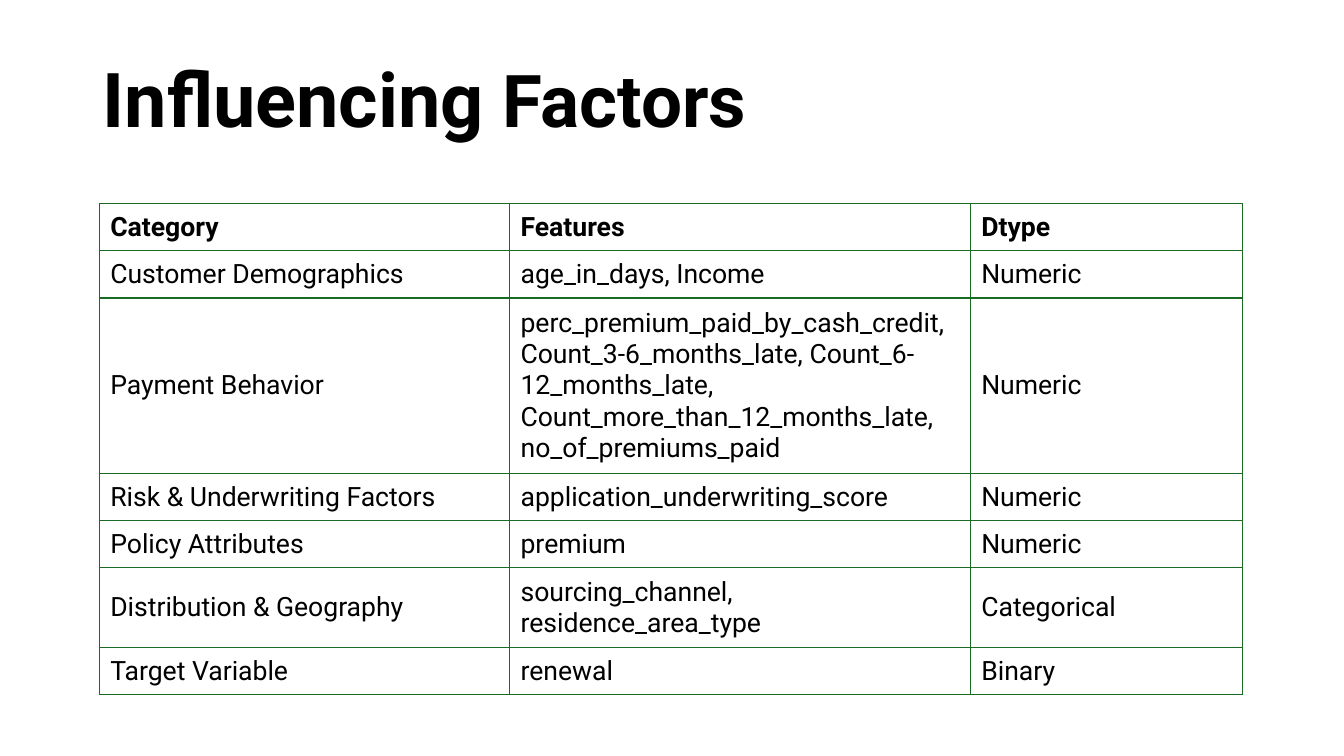
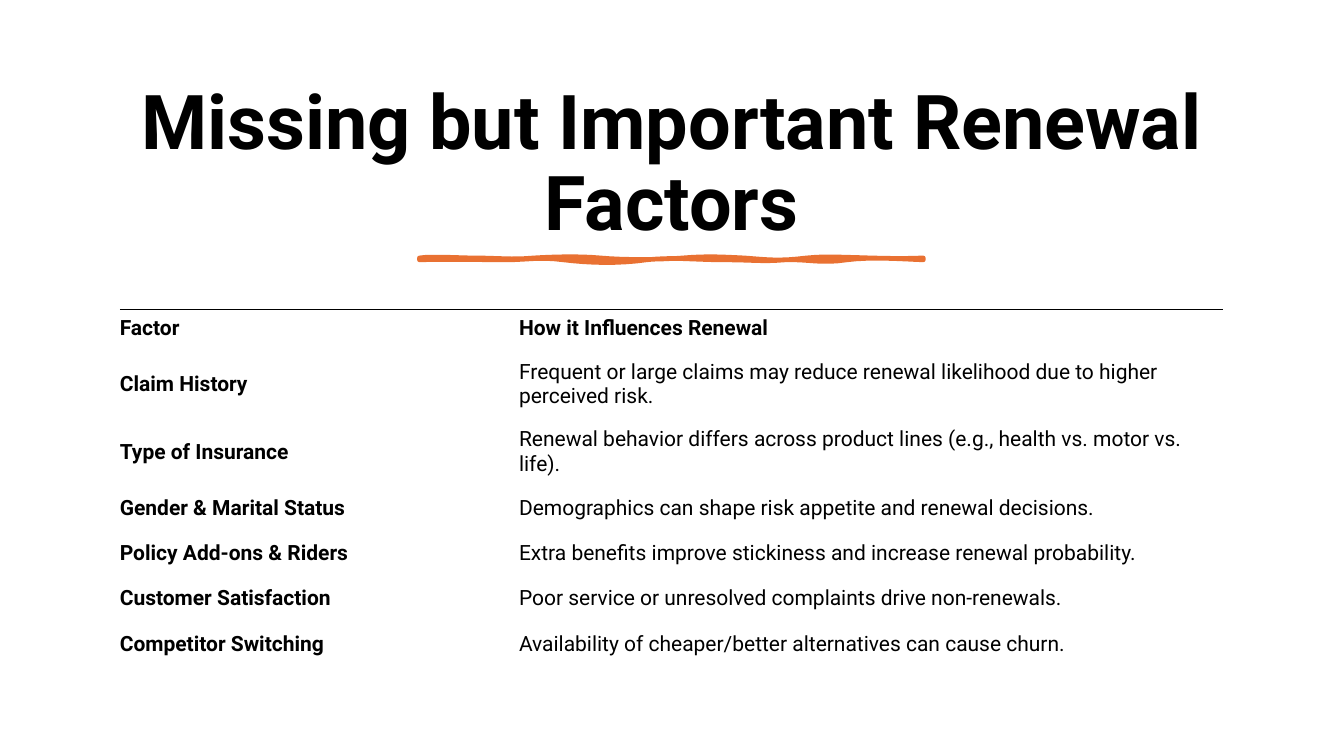
from lxml import etree
from pptx import Presentation
from pptx.dml.color import RGBColor
from pptx.enum import text
from pptx.oxml.ns import qn
from pptx.util import Cm, Pt

THEME = {
    "font": "Roboto",
    "ink": RGBColor.from_string("000000"),
    "accent": RGBColor.from_string("E97132"),
    "grid": "196B24",
    "rule": "000000",
    "title": 54,
    "small": 52,
}
PLAIN = "{2D5ABB26-0587-4C30-8999-92F81FD0307C}"

FACTORS = {
    "title": [("Influencing", THEME["title"]), (" Factors", THEME["small"])],
    "box": (2.34, 0.51, 29.21, 4.19),
    "align": text.PP_ALIGN.LEFT,
    "anchor": text.MSO_ANCHOR.MIDDLE,
    "table": {
        "at": (2.51, 5.13),
        "cols": (10.34, 11.61, 6.86),
        "rows": (1.19, 1.19, 4.42, 1.19, 1.19, 2.01, 1.19),
        "inset": (0.27, 0.13, 0.27, 0.13),
        "size": 19,
        "keys": False,
        "sides": "LRTB",
        "line": (THEME["grid"], 1),
        "cells": [
            ("Category", "Features", "Dtype"),
            ("Customer Demographics", "age_in_days, Income", "Numeric"),
            ("Payment Behavior",
             "perc_premium_paid_by_cash_credit, Count_3-6_months_late, "
             "Count_6-12_months_late, Count_more_than_12_months_late, "
             "no_of_premiums_paid", "Numeric"),
            ("Risk & Underwriting Factors", "application_underwriting_score",
             "Numeric"),
            ("Policy Attributes", "premium", "Numeric"),
            ("Distribution & Geography",
             "sourcing_channel, residence_area_type", "Categorical"),
            ("Target Variable", "renewal", "Binary"),
        ],
    },
}

MISSING = {
    "title": [("Missing but Important Renewal Factors", THEME["title"])],
    "box": (1.78, 1.27, 30.3, 5.08),
    "align": text.PP_ALIGN.CENTER,
    "anchor": text.MSO_ANCHOR.BOTTOM,
    "table": {
        "at": (3.02, 7.8),
        "cols": (10.06, 17.75),
        "rows": (1.14, 1.7, 1.7, 1.14, 1.14, 1.14, 1.14),
        "inset": (0, 0.1, 0.3, 0.3),
        "size": 15,
        "keys": True,
        "sides": "T",
        "line": (THEME["rule"], 0.75),
        "cells": [
            ("Factor", "How it Influences Renewal"),
            ("Claim History",
             "Frequent or large claims may reduce renewal likelihood due to "
             "higher perceived risk."),
            ("Type of Insurance",
             "Renewal behavior differs across product lines (e.g., health vs. "
             "motor vs. life)."),
            ("Gender & Marital Status",
             "Demographics can shape risk appetite and renewal decisions."),
            ("Policy Add-ons & Riders",
             "Extra benefits improve stickiness and increase renewal "
             "probability."),
            ("Customer Satisfaction",
             "Poor service or unresolved complaints drive non-renewals."),
            ("Competitor Switching",
             "Availability of cheaper/better alternatives can cause churn."),
        ],
    },
}

# Each edge: a start, then Bezier curves (two handles and an end), in cm.
STROKE = (10.57, 6.5)
TOP = [(0, 0),
       (0.3, -0.05), (0.97, 0), (1.45, 0),
       (1.93, 0), (2.36, 0.05), (2.87, 0),
       (3.38, -0.03), (4.01, -0.05), (4.57, 0),
       (5.11, 0.05), (6.02, 0.05), (6.63, 0),
       (7.26, -0.05), (7.57, -0.03), (8.2, 0),
       (8.81, 0.05), (9.09, 0.08), (9.75, 0),
       (10.41, -0.08), (11.46, 0.05), (12.7, 0)]
BOTTOM = [(12.7, 0.05),
          (12.17, 0.03), (11.4, -0.03), (10.77, 0.05),
          (10.13, 0.15), (9.78, 0.03), (9.22, 0.05),
          (8.64, 0.1), (8.41, 0.05), (7.65, 0.05),
          (6.88, 0.05), (6.38, -0.03), (5.72, 0.05),
          (5.03, 0.15), (4.29, 0.13), (3.63, 0.05),
          (3, -0.03), (2.72, 0.05), (2.21, 0.05),
          (1.7, 0.05), (0.56, 0.03), (0, 0.05)]


def write(para, words, size, bold):
    run = para.add_run()
    run.text = words
    font = run.font
    font.name, font.size, font.bold = THEME["font"], Pt(size), bold
    font.color.rgb = THEME["ink"]


def add_title(slide, page):
    frame = slide.shapes.add_textbox(*map(Cm, page["box"])).text_frame
    frame.word_wrap = True
    frame.vertical_anchor = page["anchor"]
    para = frame.paragraphs[0]
    para.alignment = page["align"]
    para.line_spacing, para.space_after = 0.9, Pt(6)
    for words, size in page["title"]:
        write(para, words, size, True)


def edge(cell, sides, color, width):
    """Draw the named sides (from L, R, T, B) and hide the others."""
    props = cell._tc.get_or_add_tcPr()
    for spot, side in enumerate("LRTB"):
        line = etree.Element(qn("a:ln" + side), w=str(Pt(width)))
        if side in sides:
            fill = etree.SubElement(line, qn("a:solidFill"))
            etree.SubElement(fill, qn("a:srgbClr"), val=color)
        else:
            etree.SubElement(line, qn("a:noFill"))
        props.insert(spot, line)


def add_grid(slide, data):
    cols, rows = data["cols"], data["rows"]
    size = (sum(cols), sum(rows))
    grid = slide.shapes.add_table(
        len(rows), len(cols), *map(Cm, data["at"] + size)).table
    grid.first_row = grid.horz_banding = False
    grid._tbl.tblPr.find(qn("a:tableStyleId")).text = PLAIN
    for col, width in zip(grid.columns, cols):
        col.width = Cm(width)
    for row, height in zip(grid.rows, rows):
        row.height = Cm(height)
    for r, line in enumerate(data["cells"]):
        for c, words in enumerate(line):
            cell = grid.cell(r, c)
            cell.fill.background()
            cell.vertical_anchor = text.MSO_ANCHOR.MIDDLE
            (cell.margin_left, cell.margin_top,
             cell.margin_right, cell.margin_bottom) = map(Cm, data["inset"])
            bold = r == 0 or (data["keys"] and c == 0)
            write(cell.text_frame.paragraphs[0], words, data["size"], bold)
            sides = data["sides"] if r == 0 or data["sides"] != "T" else ""
            edge(cell, sides, *data["line"])


def trace(knots, steps=8):
    """Sample a chain of Bezier curves as slide points."""
    spots = [knots[0]]
    for i in range(0, len(knots) - 1, 3):
        for n in range(1, steps + 1):
            t = n / steps
            mix = ((1 - t) ** 3, 3 * t * (1 - t) ** 2,
                   3 * t * t * (1 - t), t ** 3)
            spots.append(tuple(
                sum(m * k[axis] for m, k in zip(mix, knots[i:i + 4]))
                for axis in (0, 1)))
    return [(Cm(STROKE[0] + x), Cm(STROKE[1] + y)) for x, y in spots]


def add_stroke(slide):
    spots = trace(TOP) + trace(BOTTOM)
    pen = slide.shapes.build_freeform(*spots[0])
    pen.add_line_segments(spots[1:], close=True)
    shape = pen.convert_to_shape()
    shape.shadow.inherit = False
    shape.fill.solid()
    shape.fill.fore_color.rgb = THEME["accent"]
    shape.line.color.rgb = THEME["accent"]
    shape.line.width = Pt(3.25)
    etree.SubElement(shape.line._ln, qn("a:round"))


def main():
    deck = Presentation()
    deck.slide_width, deck.slide_height = Cm(33.87), Cm(19.05)
    for page in (FACTORS, MISSING):
        slide = deck.slides.add_slide(deck.slide_layouts[6])
        add_title(slide, page)
        if page is MISSING:
            add_stroke(slide)
        add_grid(slide, page["table"])
    deck.save("out.pptx")


if __name__ == "__main__":
    main()
